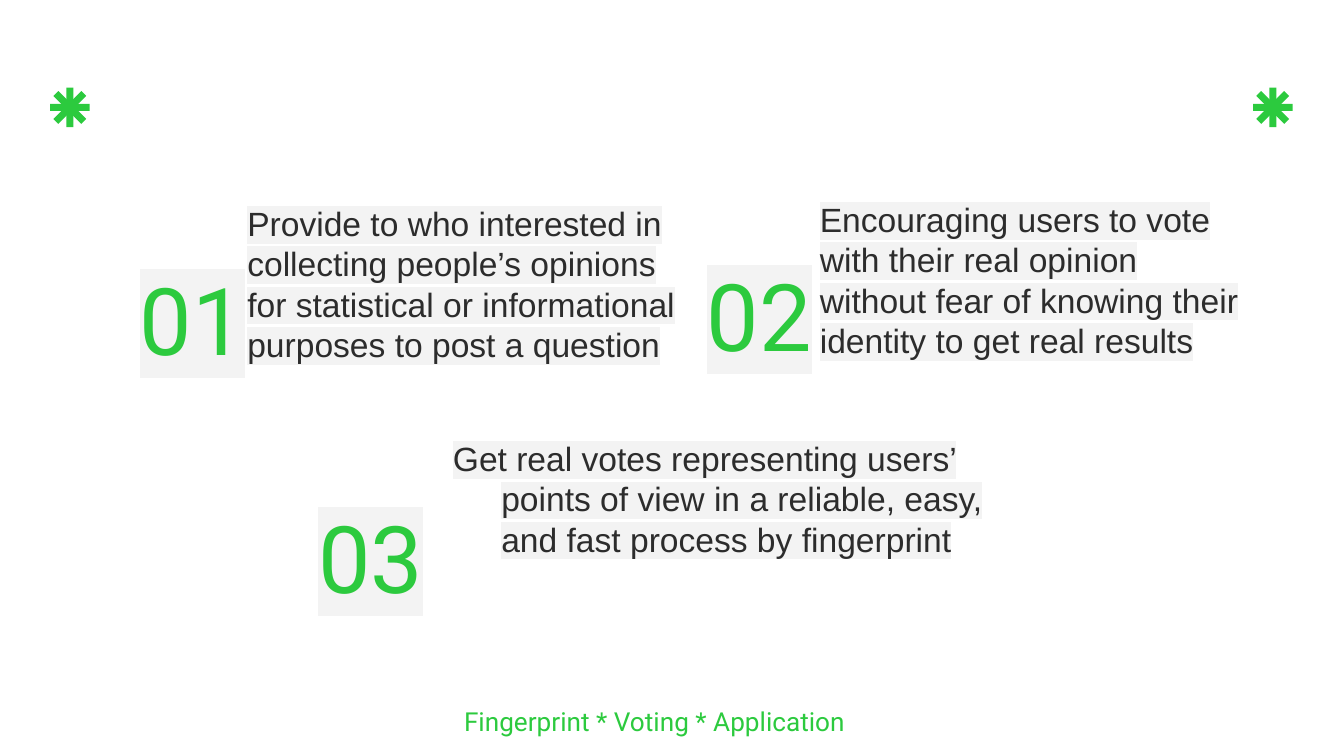
from lxml import etree
from pptx import Presentation
from pptx.dml.color import RGBColor
from pptx.enum.shapes import MSO_SHAPE
from pptx.enum.text import MSO_ANCHOR, MSO_AUTO_SIZE, PP_ALIGN
from pptx.oxml.ns import qn
from pptx.util import Inches, Pt

MULTIPLY = MSO_SHAPE.MATH_MULTIPLY
BOTTOM, TOP = MSO_ANCHOR.BOTTOM, MSO_ANCHOR.TOP
LEFT, CENTER = PP_ALIGN.LEFT, PP_ALIGN.CENTER
NO_FIT = MSO_AUTO_SIZE.NONE

SLIDE_WIDTH = 10
SLIDE_HEIGHT = SLIDE_WIDTH * 9 / 16

COLORS = {"green": "2CCA3E", "text": "2C2C2C", "highlight": "F3F3F3"}

EVEN_INSETS = {f"margin_{side}": Inches(0.1)
               for side in ("left", "top", "right", "bottom")}
NUMBER = {
    "font": {"size": Pt(50), "name": "Roboto", "bold": False},
    "para": {"alignment": CENTER, "line_spacing": 0.8, "space_before": Pt(0)},
    "frame": {"vertical_anchor": BOTTOM, **EVEN_INSETS},
    "color": "green", "highlight": True,
}
GOAL = {
    "font": {"size": Pt(18), "name": "Arial", "bold": False},
    "para": {"alignment": LEFT, "line_spacing": 1.0, "space_before": Pt(0)},
    "frame": {"vertical_anchor": BOTTOM, **EVEN_INSETS},
    "color": "text", "highlight": True,
}
FOOTER = {
    "font": {"size": Pt(14), "name": "Roboto", "bold": False},
    "para": {"alignment": CENTER},
    "frame": {"vertical_anchor": TOP},
    "color": "green", "highlight": False,
}

# Number corner, text box, (left margin, first-line indent), wording
NUMBER_SIZE = (1.04, 1.45)
GOALS = [
    ((0.91, 1.43), (1.74, 1.44, 3.43, 1.37), (0, 0),
     "Provide to who interested in collecting people’s opinions "
     "for statistical or informational purposes to post a question"),
    ((5.13, 1.4), (6, 1.77, 3.34, 1.01), (0, 0),
     "Encouraging users to vote with their real opinion "
     "without fear of knowing their identity to get real results"),
    ((2.24, 3.2), (3.13, 3.25, 4.49, 1.01), (0.5, -0.36),
     "Get real votes representing users’ points of view "
     "in a reliable, easy, and fast process by fingerprint"),
]


def set_attrs(obj, values):
    for name, value in values.items():
        setattr(obj, name, value)


def place(sp, box):
    names = ("left", "top", "width", "height")
    set_attrs(sp, dict(zip(names, map(Inches, box))))


def add_highlight(r, color):
    highlight = etree.Element(qn("a:highlight"))
    etree.SubElement(highlight, qn("a:srgbClr"), val=color)
    r.font._element.find(qn("a:latin")).addprevious(highlight)


def write_text(sp, box, text, style):
    place(sp, box)
    tf = sp.text_frame
    set_attrs(tf, {"word_wrap": True, "auto_size": NO_FIT, **style["frame"]})
    p = tf.paragraphs[0]
    set_attrs(p, style["para"])
    r = p.add_run()
    r.text = text
    set_attrs(r.font, style["font"])
    r.font.color.rgb = RGBColor.from_string(COLORS[style["color"]])
    if style["highlight"]:
        add_highlight(r, COLORS["highlight"])
    return p


def set_indent(p, margin, first_line):
    pPr = p._p.get_or_add_pPr()
    pPr.set("marL", str(Inches(margin)))
    pPr.set("indent", str(Inches(first_line)))
    etree.SubElement(pPr, qn("a:buNone"))


def add_goal(number_sp, body, number, goal):
    corner, box, indent, text = goal
    write_text(number_sp, corner + NUMBER_SIZE, f"{number:02d}", NUMBER)
    p = write_text(body, box, text, GOAL)
    set_indent(p, *indent)


def add_asterisk(slide, left, top, size):
    group = slide.shapes.add_group_shape()
    box = [Inches(v) for v in (left, top, size, size)]
    for angle in (0, 45):
        s = group.shapes.add_shape(MULTIPLY, *box)
        s.adjustments[0] = 0.13
        s.rotation = angle
        s.shadow.inherit = False
        s.fill.solid()
        s.fill.fore_color.rgb = RGBColor.from_string(COLORS["green"])
        s.line.fill.background()


def add_text_box(slide):
    return slide.shapes.add_textbox(0, 0, Inches(1), Inches(1))


def main():
    prs = Presentation()
    prs.slide_width = Inches(SLIDE_WIDTH)
    prs.slide_height = Inches(SLIDE_HEIGHT)
    # The comparison layout has a title and four bodies
    slide = prs.slides.add_slide(prs.slide_layouts[4])
    title, *bodies = slide.placeholders
    spare = bodies.pop()
    spare._element.getparent().remove(spare._element)

    # Numbered goals
    numbers = [title, add_text_box(slide), add_text_box(slide)]
    for i, (number_sp, body, goal) in enumerate(zip(numbers, bodies, GOALS), 1):
        add_goal(number_sp, body, i, goal)

    # Corner asterisks
    for left in (0.32, 9.27):
        add_asterisk(slide, left, 0.6, 0.4)

    # Footer
    write_text(add_text_box(slide), (0.12, 5.2, 9.55, 0.26),
               "Fingerprint * Voting * Application ", FOOTER)

    prs.save("out.pptx")


if __name__ == "__main__":
    main()
